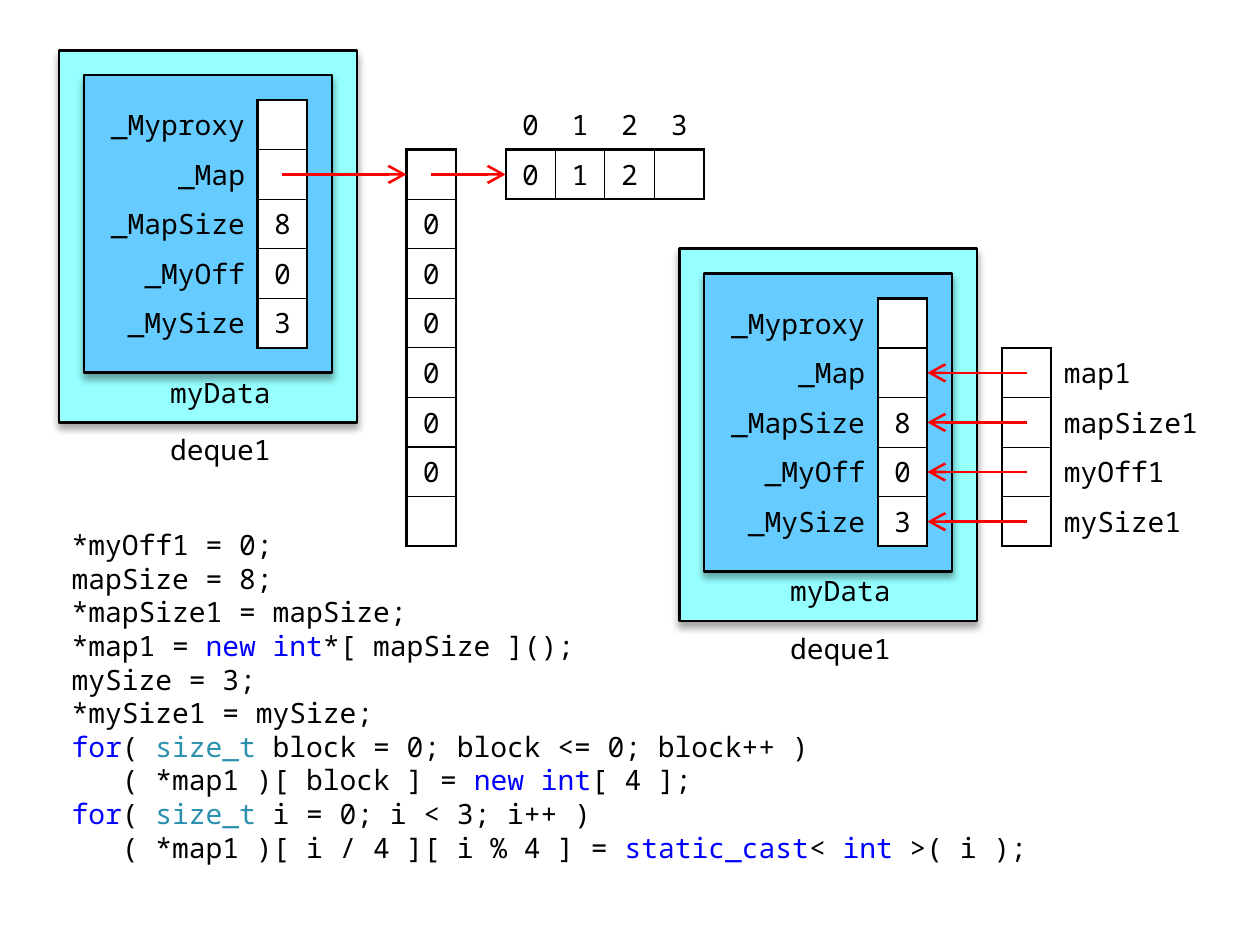
from dataclasses import dataclass

from pptx import Presentation, util as u
from pptx.dml.color import RGBColor
from pptx.enum import shapes, text
from pptx.oxml import parse_xml
from pptx.oxml.ns import nsdecls, qn

CELL = 1 / 2.54
LEFT, TOP = 0.47, 0.4
PLAIN = "{2D5ABB26-0587-4C30-8999-92F81FD0307C}"
SIDES = {"L": (0, -1), "R": (0, 1), "T": (-1, 0), "B": (1, 0)}
MID, HIGH = text.MSO_ANCHOR.MIDDLE, text.MSO_ANCHOR.TOP


@dataclass
class Theme:
    """Colours, font and sizes."""
    ink: str = "000000"
    paper: str = "FFFFFF"
    outer: str = "96FFFF"
    inner: str = "66CCFF"
    arrow: str = "FF0000"
    word: str = "0000FF"
    kind: str = "2B91AF"
    font: str = "Noto Sans Mono"
    size: float = 16
    lead: float = 19.2
    thick: float = 1.5
    thin: float = 0.75


def rgb(code):
    """Turn a hex code into a colour."""
    return RGBColor.from_string(code)


def span(n):
    """Length of n grid cells."""
    return u.Inches(n * CELL)


def spot(col, row):
    """Slide position of a grid point."""
    return u.Inches(LEFT + col * CELL), u.Inches(TOP + row * CELL)


class Board:
    """Draws on one slide in one style."""

    def __init__(self, slide, theme):
        """Keep the slide and the theme."""
        self.slide, self.theme = slide, theme

    def style(self, run, color=None):
        """Set the font of a run."""
        run.font.name = self.theme.font
        run.font.size = u.Pt(self.theme.size)
        run.font.color.rgb = rgb(color or self.theme.ink)

    def panel(self, col, row, wide, high, fill):
        """Draw a filled box with a soft shadow."""
        box = self.slide.shapes.add_shape(
            shapes.MSO_SHAPE.FLOWCHART_PROCESS,
            *spot(col, row), span(wide), span(high))
        box.fill.solid()
        box.fill.fore_color.rgb = rgb(fill)
        box.line.color.rgb = rgb(self.theme.ink)
        box.line.width = u.Pt(self.theme.thick)
        box.shadow.inherit = False
        glow = box._element.spPr.find(qn("a:effectLst"))
        glow.append(parse_xml(
            f'<a:outerShdw {nsdecls("a")} blurRad="{u.Pt(4)}" dist="{u.Pt(3)}" '
            f'dir="5400000" rotWithShape="0"><a:srgbClr val="{self.theme.ink}">'
            '<a:alpha val="35000"/></a:srgbClr></a:outerShdw>'))

    def frame(self, col, row, wide, high, pads, anchor):
        """Add a text box and return its frame."""
        frame = self.slide.shapes.add_textbox(
            *spot(col, row), span(wide), span(high)).text_frame
        frame.word_wrap = True
        frame.vertical_anchor = anchor
        (frame.margin_left, frame.margin_top,
         frame.margin_right, frame.margin_bottom) = map(u.Inches, pads)
        return frame

    def label(self, col, row, wide, words, top, anchor):
        """Write one centred line."""
        frame = self.frame(col, row, wide, 1, (0, top, 0, 0), anchor)
        frame.text = words
        line = frame.paragraphs[0]
        line.alignment = text.PP_ALIGN.CENTER
        self.style(line.runs[0])

    def code(self, col, row, wide, high, lines):
        """Write code lines; bars enclose the coloured words."""
        frame = self.frame(col, row, wide, high, (0.1, 0.05, 0.1, 0.05), HIGH)
        for i, (depth, line) in enumerate(lines):
            para = frame.add_paragraph() if i else frame.paragraphs[0]
            para.line_spacing = u.Pt(self.theme.lead)
            if depth:
                para._p.get_or_add_pPr().set("marL", str(u.Inches(0.4 * depth)))
            for j, part in enumerate(line.split("|")):
                if part:
                    run = para.add_run()
                    run.text = part
                    tint = self.theme.kind if part == "size_t" else self.theme.word
                    self.style(run, tint if j % 2 else None)

    def arrow(self, start, end):
        """Draw an arrow between two grid points."""
        line = self.slide.shapes.add_connector(
            shapes.MSO_CONNECTOR.STRAIGHT, *spot(*start), *spot(*end))
        line.line.color.rgb = rgb(self.theme.arrow)
        line.line.width = u.Pt(self.theme.thick)
        line.line._get_or_add_ln().append(parse_xml(
            f'<a:tailEnd {nsdecls("a")} type="arrow" w="lg" len="lg"/>'))
        line._element.spPr.append(parse_xml(f'<a:effectLst {nsdecls("a")}/>'))

    def edges(self, cell, place, boxed):
        """Rule the sides a cell shares with the boxed area."""
        row, col = place
        for side, (down, right) in SIDES.items():
            pair = (place in boxed) + ((row + down, col + right) in boxed)
            if pair:
                width = self.theme.thin if pair == 2 else self.theme.thick
                cell._tc.get_or_add_tcPr().append(parse_xml(
                    f'<a:ln{side} {nsdecls("a")} w="{u.Pt(width)}"><a:solidFill>'
                    f'<a:srgbClr val="{self.theme.ink}"/></a:solidFill></a:ln{side}>'))

    def grid(self, col, row, rows, wides, boxed, align="CENTER", pads=(0, 0)):
        """Add a table; boxed holds its ruled cells, pads the side gaps of others."""
        table = self.slide.shapes.add_table(
            len(rows), len(wides), *spot(col, row),
            span(sum(wides)), span(len(rows))).table
        table._tbl.tblPr.find(qn("a:tableStyleId")).text = PLAIN
        table.first_row = table.horz_banding = False
        for i, wide in enumerate(wides):
            table.columns[i].width = span(wide)
        for r, words in enumerate(rows):
            table.rows[r].height = span(1)
            for c, word in enumerate(words):
                cell, inside = table.cell(r, c), (r, c) in boxed
                cell.margin_left, cell.margin_right = map(
                    u.Inches, (0, 0) if inside else pads)
                cell.margin_top = cell.margin_bottom = u.Inches(0.04)
                cell.vertical_anchor = MID
                self.edges(cell, (r, c), boxed)
                if inside:
                    cell.fill.solid()
                    cell.fill.fore_color.rgb = rgb(self.theme.paper)
                else:
                    cell.fill.background()
                if word:
                    cell.text = word
                    para = cell.text_frame.paragraphs[0]
                    para.alignment = text.PP_ALIGN["CENTER" if inside else align]
                    self.style(para.runs[0])

    def deque(self, col, row):
        """Draw a deque with its data fields."""
        self.panel(col, row, 6, 7.5, self.theme.outer)
        self.panel(col + 0.5, row + 0.5, 5, 6, self.theme.inner)
        self.label(col + 1.5, row + 7.5, 3.5, "deque1", 0.04, MID)
        self.label(col + 2, row + 6.5, 2.5, "myData", 0.02, HIGH)
        self.grid(col + 0.5, row + 1, FIELDS, [3.5, 1],
                  {(r, 1) for r in range(len(FIELDS))}, "RIGHT", (0.1, 0.1))


FIELDS = [("_Myproxy", ""), ("_Map", ""), ("_MapSize", "8"),
          ("_MyOff", "0"), ("_MySize", "3")]
NAMES = ["map1", "mapSize1", "myOff1", "mySize1"]
CODE = [
    (0, "*myOff1 = 0;"),
    (0, "mapSize = 8;"),
    (0, "*mapSize1 = mapSize;"),
    (0, "*map1 = |new int|*[ mapSize ]();"),
    (0, "mySize = 3;"),
    (0, "*mySize1 = mySize;"),
    (0, "|for|( |size_t| block = 0; block <= 0; block++ )"),
    (1, "( *map1 )[ block ] = |new int|[ 4 ];"),
    (0, "|for|( |size_t| i = 0; i < 3; i++ )"),
    (1, "( *map1 )[ i / 4 ][ i % 4 ] = |static_cast|< |int| >( i );"),
]


def main():
    """Build the slide and save it."""
    deck = Presentation()
    deck.slide_width, deck.slide_height = u.Inches(10), u.Inches(7.5)
    board = Board(deck.slides.add_slide(deck.slide_layouts[6]), Theme())

    board.grid(7, 2, [[""]] + [["0"]] * 6 + [[""]], [1],
               {(r, 0) for r in range(8)})
    board.grid(9, 1, ["0123", ["0", "1", "2", ""]], [1] * 4,
               {(1, c) for c in range(4)})
    board.deque(0, 0)
    board.arrow((7.5, 2.5), (9, 2.5))
    board.arrow((4.5, 2.5), (7, 2.5))

    board.grid(19, 6, [("", name) for name in NAMES], [1, 3],
               {(r, 0) for r in range(len(NAMES))}, "LEFT", (0.1, 0))
    board.deque(12.5, 4)
    for i in range(len(NAMES)):
        board.arrow((19.5, 6.5 + i), (17.5, 6.5 + i))

    board.code(0, 9.5, 20, 7, CODE)
    deck.save("out.pptx")


main()
